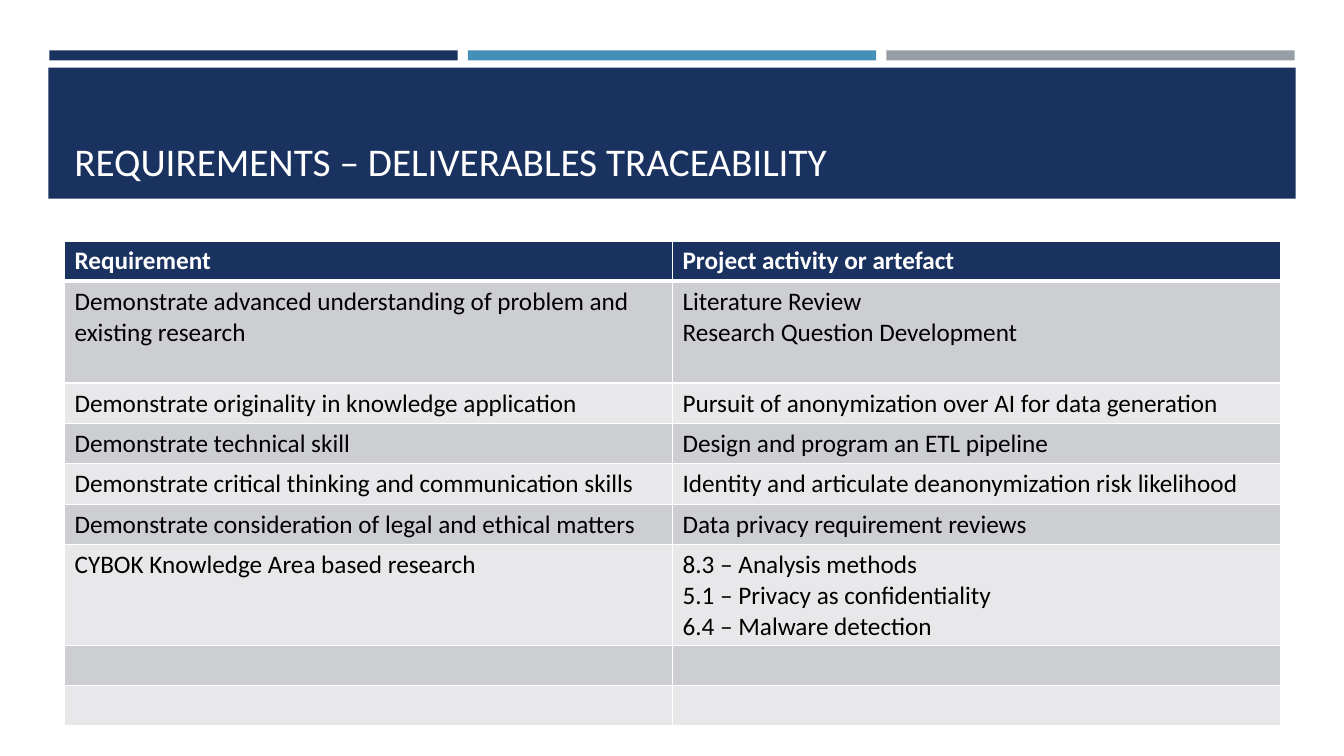
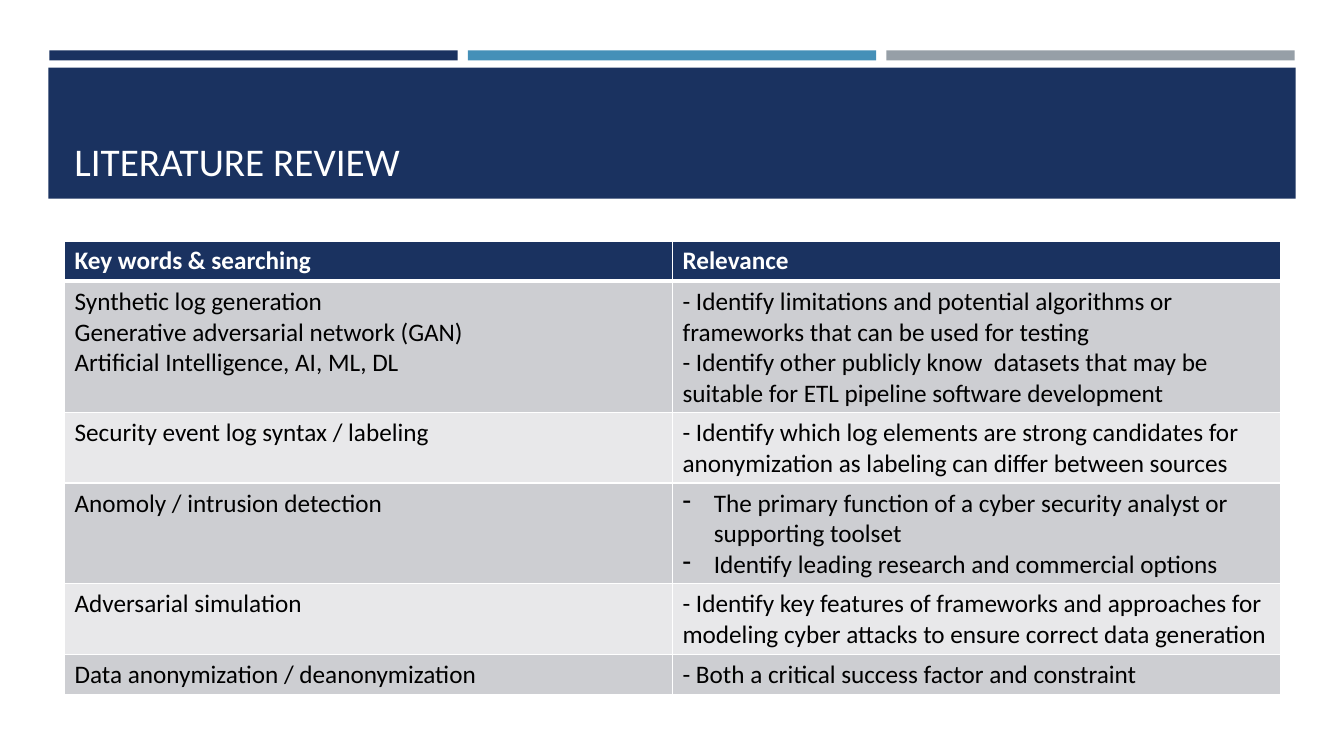
"""Build two table slides that share a colour bar, a title band and a grid style."""
from lxml import etree
from pptx import Presentation
from pptx.dml.color import RGBColor
from pptx.enum.shapes import MSO_SHAPE
from pptx.enum.text import MSO_ANCHOR
from pptx.oxml import parse_xml
from pptx.oxml.ns import nsdecls, qn
from pptx.util import Pt

RECT = MSO_SHAPE.RECTANGLE
BOTTOM = MSO_ANCHOR.BOTTOM
PX = 9144
NAVY, BLUE, GREY = "1A3260", "4590B8", "969FA7"
DARK, LIGHT, WHITE, BLACK = "CDCED2", "E8E8EA", "FFFFFF", "000000"
HANG = "* "
TITLE = {"name": "Calibri", "size": Pt(28), "bold": False}
HEAD = {"name": "Calibri", "size": Pt(18), "bold": True}
BODY = {"name": "Calibri", "size": Pt(18), "bold": False}
BARS = [(49 + 415 * i, 50, 405, 10, c) for i, c in enumerate((NAVY, BLUE, GREY))]
BANDS = BARS + [(48, 67, 1237, 130, NAVY)]
ROW = 40
TALL = 101

SLIDES = [
    ("REQUIREMENTS – DELIVERABLES TRACEABILITY", [
        (ROW, "Requirement", "Project activity or artefact"),
        (TALL, "Demonstrate advanced understanding of problem and existing research",
         "Literature Review\nResearch Question Development"),
        (ROW, "Demonstrate originality in knowledge application",
         "Pursuit of anonymization over AI for data generation"),
        (ROW, "Demonstrate technical skill", "Design and program an ETL pipeline"),
        (ROW, "Demonstrate critical thinking and communication skills",
         "Identity and articulate deanonymization risk likelihood"),
        (ROW, "Demonstrate consideration of legal and ethical matters",
         "Data privacy requirement reviews"),
        (ROW, "CYBOK Knowledge Area based research",
         "8.3 – Analysis methods\n5.1 – Privacy as confidentiality\n6.4 – Malware detection"),
        (ROW, "", ""),
        (ROW, "", ""),
    ]),
    ("LITERATURE REVIEW", [
        (ROW, "Key words & searching", "Relevance"),
        (ROW, "Synthetic log generation\nGenerative adversarial network (GAN)\n"
         "Artificial Intelligence, AI, ML, DL",
         "- Identify limitations and potential algorithms or frameworks that can be used "
         "for testing\n- Identify other publicly know  datasets that may be suitable for "
         "ETL pipeline software development"),
        (ROW, "Security event log syntax / labeling",
         "- Identify which log elements are strong candidates for anonymization as "
         "labeling can differ between sources"),
        (ROW, "Anomoly / intrusion detection",
         "* The primary function of a cyber security analyst or supporting toolset\n"
         "* Identify leading research and commercial options"),
        (ROW, "Adversarial simulation",
         "- Identify key features of frameworks and approaches for modeling cyber attacks "
         "to ensure correct data generation"),
        (ROW, "Data anonymization / deanonymization",
         "- Both a critical success factor and constraint"),
    ]),
]


def paint(fill, tone):
    fill.solid()
    fill.fore_color.rgb = RGBColor.from_string(tone)


def write(frame, text, form, tone):
    for i, line in enumerate(text.split("\n")):
        para = frame.add_paragraph() if i else frame.paragraphs[0]
        if line.startswith(HANG):
            props = para._p.get_or_add_pPr()
            props.set("marL", str(31 * PX))
            props.set("indent", str(-31 * PX))
            etree.SubElement(props, qn("a:buChar")).set("char", "-")
        if line:
            para.add_run().text = line.removeprefix(HANG)
        for font in [para.font] + [run.font for run in para.runs]:
            for key, val in form.items():
                setattr(font, key, val)
            paint(font.fill, tone)


deck = Presentation()
deck.slide_width, deck.slide_height = 1333 * PX, 750 * PX

for title, rows in SLIDES:
    slide = deck.slides.add_slide(deck.slide_layouts[6])
    for *box, tone in BANDS:
        band = slide.shapes.add_shape(RECT, *(n * PX for n in box))
        band.shadow.inherit = False
        band.line.fill.background()
        paint(band.fill, tone)

    frame = slide.shapes.add_textbox(64 * PX, 77 * PX, 1206 * PX, 111 * PX).text_frame
    frame.word_wrap = True
    frame.vertical_anchor = BOTTOM
    write(frame, title, TITLE, WHITE)

    high = sum(row[0] for row in rows)
    grid = slide.shapes.add_table(
        len(rows), 2, 64 * PX, 239 * PX, 1206 * PX, high * PX).table
    for r, (tall, *texts) in enumerate(rows):
        grid.rows[r].height = tall * PX
        form, ink = (BODY, BLACK) if r else (HEAD, WHITE)
        tone = (LIGHT, DARK)[r % 2] if r else NAVY
        edges = {"L": 1, "R": 1, "T": 3 if r == 1 else 1, "B": 1 if r else 3}
        for c, text in enumerate(texts):
            cell = grid.cell(r, c)
            write(cell.text_frame, text, form, ink)
            props = cell._tc.get_or_add_tcPr()
            for side, wide in edges.items():
                props.append(parse_xml(
                    f'<a:ln{side} {nsdecls("a")} w="{Pt(wide)}"><a:solidFill>'
                    f'<a:srgbClr val="{WHITE}"/></a:solidFill></a:ln{side}>'))
            paint(cell.fill, tone)

deck.save("out.pptx")
